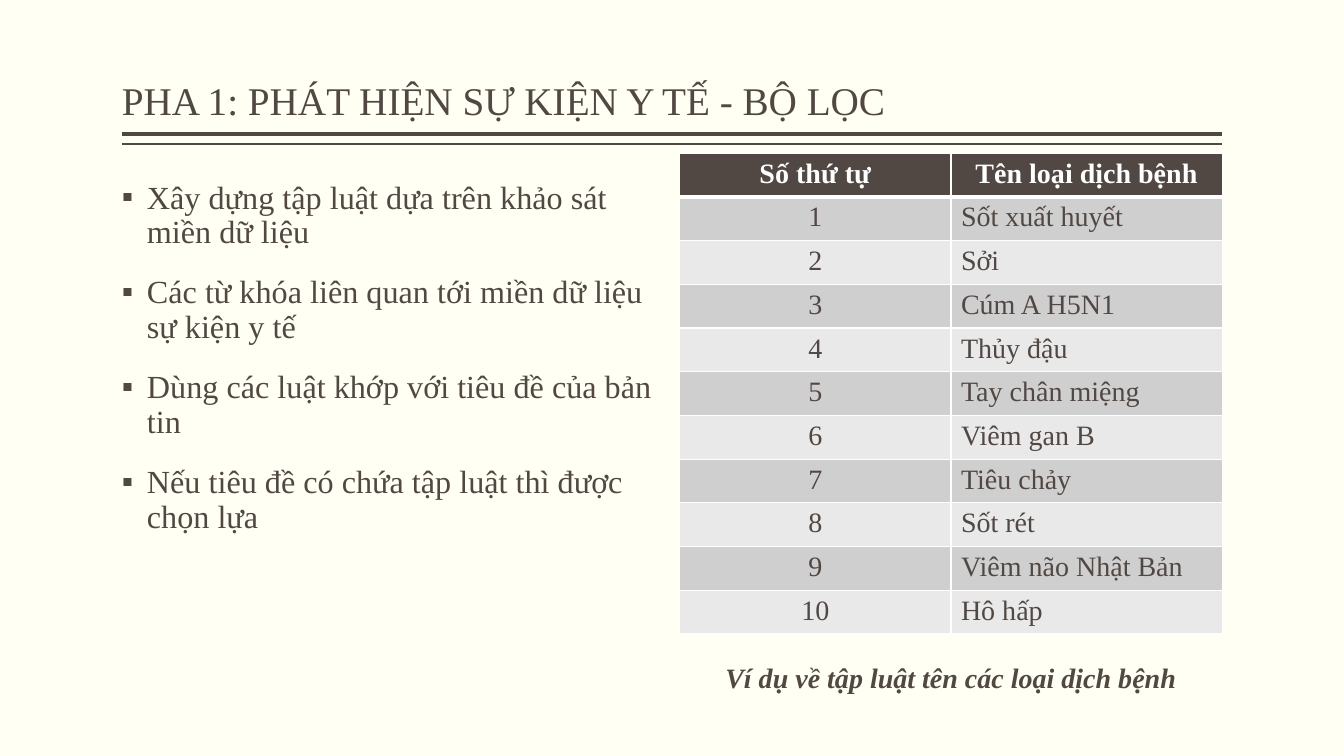
from lxml import etree
from pptx import Presentation
from pptx.dml.color import RGBColor
from pptx.enum.shapes import MSO_CONNECTOR
from pptx.enum.text import MSO_ANCHOR, PP_ALIGN
from pptx.oxml.ns import qn
from pptx.util import Pt

STRAIGHT = MSO_CONNECTOR.STRAIGHT
TOP, BOTTOM = MSO_ANCHOR.TOP, MSO_ANCHOR.BOTTOM
LEFT, CENTER = PP_ALIGN.LEFT, PP_ALIGN.CENTER

FONT = "Times New Roman"
BROWN, WHITE, CREAM = "514843", "FFFFFF", "FFFFF3"
BANDS = ("D0CFCF", "E9E9E9")
MARGIN, CONTENT_WIDTH, COLUMN_WIDTH = 87, 786, 387.5

TITLE = "PHA 1: PHÁT HIỆN SỰ KIỆN Y TẾ - BỘ LỌC"
RULES = (
    "Xây dựng tập luật dựa trên khảo sát miền dữ liệu",
    "Các từ khóa liên quan tới miền dữ liệu sự kiện y tế",
    "Dùng các luật khớp với tiêu đề của bản tin",
    "Nếu tiêu đề có chứa tập luật thì được chọn lựa",
)
HEADINGS = ("Số thứ tự", "Tên loại dịch bệnh")
DISEASES = (
    "Sốt xuất huyết", "Sởi", "Cúm A H5N1", "Thủy đậu", "Tay chân miệng",
    "Viêm gan B", "Tiêu chảy", "Sốt rét", "Viêm não Nhật Bản", "Hô hấp",
)
CAPTION = "Ví dụ về tập luật tên các loại dịch bệnh"


def color(hex_string):
    return RGBColor.from_string(hex_string)


def style(para, size, hex_string=BROWN, bold=False, italic=False, align=LEFT):
    para.alignment = align
    font = para.font
    font.name, font.size, font.bold, font.italic = FONT, Pt(size), bold, italic
    font.color.rgb = color(hex_string)


def add_text_frame(page, box, anchor=TOP, side_inset=0):
    frame = page.shapes.add_textbox(*map(Pt, box)).text_frame
    frame.word_wrap = True
    frame.vertical_anchor = anchor
    frame.margin_left = frame.margin_right = Pt(side_inset)
    return frame


def add_title(page, box):
    """Title with a thick and a thin rule below it."""
    left, top, width, height = box
    para = add_text_frame(page, box, BOTTOM).paragraphs[0]
    para.text = TITLE
    para.line_spacing = 0.9
    style(para, 28)
    for gap, weight in ((3.6, 3), (10.8, 1)):
        y = Pt(top + height + gap)
        rule = page.shapes.add_connector(STRAIGHT, Pt(left), y, Pt(left + width), y)
        rule.line.color.rgb = color(BROWN)
        rule.line.width = Pt(weight)
        etree.SubElement(rule.element.spPr, qn("a:effectLst"))


def add_bullets(page, box):
    frame = add_text_frame(page, box)
    for index, rule in enumerate(RULES):
        para = frame.paragraphs[0] if index == 0 else frame.add_paragraph()
        para.text = rule
        para.line_spacing = 0.9
        para.space_before = Pt(18 if index else 0)
        # Hanging square bullet
        properties = para._p.get_or_add_pPr()
        properties.set("marL", str(Pt(18)))
        properties.set("indent", str(-Pt(18)))
        etree.SubElement(properties, qn("a:buFont"), typeface="Arial")
        etree.SubElement(properties, qn("a:buChar"), char="▪")
        style(para, 23)


def set_borders(cell, bottom_weight):
    properties = cell._tc.get_or_add_tcPr()
    weights = {"lnL": 1, "lnR": 1, "lnT": 1, "lnB": bottom_weight}
    for position, (side, weight) in enumerate(weights.items()):
        line = etree.Element(qn(f"a:{side}"), w=str(Pt(weight)))
        fill = etree.SubElement(line, qn("a:solidFill"))
        etree.SubElement(fill, qn("a:srgbClr"), val=WHITE)
        properties.insert(position, line)


def add_disease_table(page, box):
    rows = [HEADINGS] + [(str(number), name) for number, name in enumerate(DISEASES, 1)]
    table = page.shapes.add_table(len(rows), len(HEADINGS), *map(Pt, box)).table
    for row_index, row in enumerate(rows):
        heading = row_index == 0
        for column_index, text in enumerate(row):
            cell = table.cell(row_index, column_index)
            cell.text = text
            cell.fill.solid()
            cell.fill.fore_color.rgb = color(BROWN if heading else BANDS[(row_index - 1) % 2])
            set_borders(cell, 3 if heading else 1)
            style(cell.text_frame.paragraphs[0], 20, WHITE if heading else BROWN,
                  bold=heading, align=CENTER if heading or column_index == 0 else LEFT)


def add_caption(page, box):
    para = add_text_frame(page, box, side_inset=7.2).paragraphs[0]
    para.text = CAPTION
    style(para, 20, bold=True, italic=True, align=CENTER)


def main():
    deck = Presentation()
    deck.slide_width, deck.slide_height = Pt(960), Pt(540)
    page = deck.slides.add_slide(deck.slide_layouts[6])
    page.background.fill.solid()
    page.background.fill.fore_color.rgb = color(CREAM)

    right_column = MARGIN + CONTENT_WIDTH - COLUMN_WIDTH
    add_title(page, (MARGIN, 6, CONTENT_WIDTH, 86))
    add_bullets(page, (MARGIN, 126, COLUMN_WIDTH, 360))
    add_disease_table(page, (right_column, 109.3, COLUMN_WIDTH, 11 * 29.36))
    add_caption(page, (right_column + 16.5, 468, COLUMN_WIDTH - 33, 32))
    deck.save("out.pptx")


if __name__ == "__main__":
    main()
